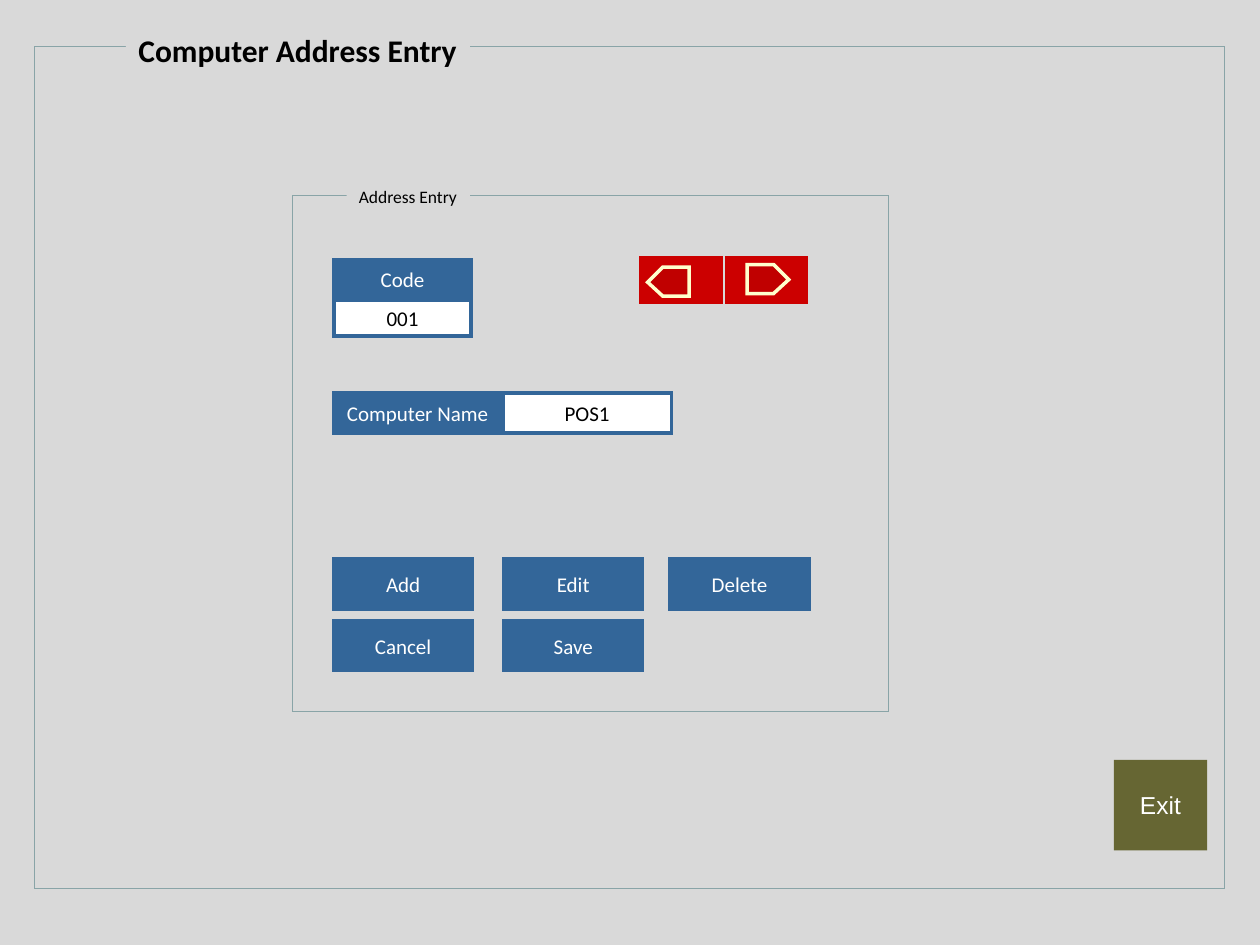
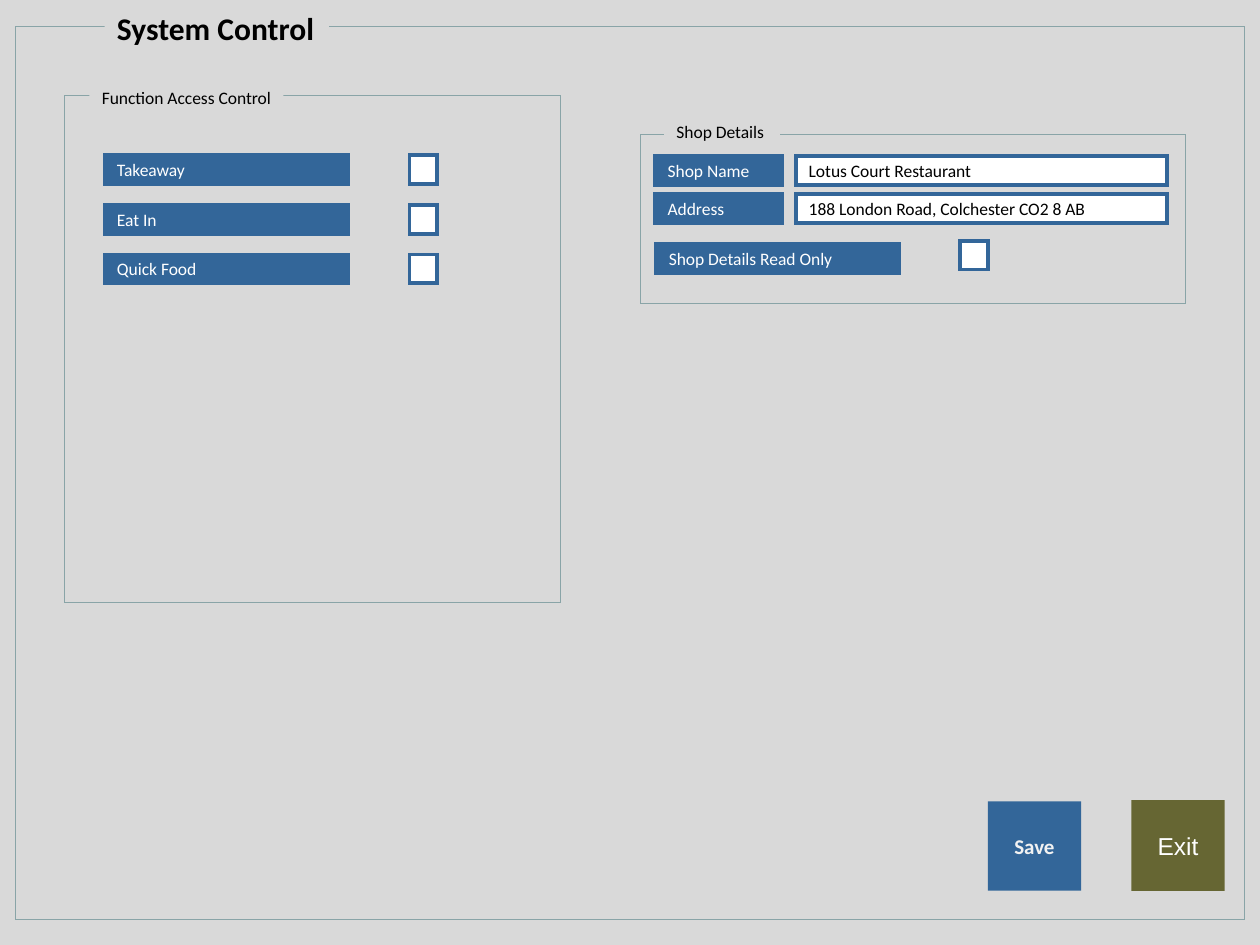
"""Build two point-of-sale settings screens: computer address entry and system control."""
from lxml.etree import SubElement
from pptx import Presentation
from pptx.dml.color import RGBColor
from pptx.enum.shapes import MSO_SHAPE as Shape
from pptx.enum.text import MSO_ANCHOR as Anchor, MSO_AUTO_SIZE as AutoSize, PP_ALIGN as Align
from pptx.oxml.ns import qn
from pptx.util import Inches, Pt

GREY, BLUE, WHITE, BLACK = "D9D9D9", "336699", "FFFFFF", "000000"
FRAME = {"line": "89A4A7", "line_width": 0.5}
TITLE = {"fill": GREY, "anchor": Anchor.TOP, "align": Align.LEFT, "auto_size": AutoSize.SHAPE_TO_FIT_TEXT,
         "font": {"size": Pt(18), "bold": True}}
CAPTION = TITLE | {"font": {"size": Pt(10)}}
BUTTON = {"fill": BLUE, "line": BLUE, "color": WHITE}
FIELD = {"fill": WHITE, "line": BLUE}
SMALL = {"align": Align.LEFT, "font": {"size": Pt(10)}}
EXIT = {"fill": "666633", "color": WHITE, "font": {"name": "Arial", "size": Pt(14)}}
SAVE = {"fill": BLUE, "color": "F2F2F2", "font": {"bold": True}}
RED_KEY = {"fill": "CC0000", "line": "CC0000"}
ARROW = {"fill": "C00000", "line": "FFFFCC", "line_width": 2}


def paint(shape, style):
    shape.shadow.inherit = False
    for part, key in ((shape.fill, "fill"), (shape.line.fill, "line")):
        if key in style:
            part.solid()
            part.fore_color.rgb = RGBColor.from_string(style[key])
        else:
            part.background()
    if "line" in style:
        shape.line.width = Pt(style.get("line_width", 2.25))
        SubElement(shape._element.spPr.find(qn("a:ln")), qn("a:miter"), lim="800000")


def add_box(slide, left, top, width, height, style, text=""):
    shape = slide.shapes.add_shape(Shape.RECTANGLE, Inches(left), Inches(top), Inches(width), Inches(height))
    paint(shape, style)
    if text:
        frame = shape.text_frame
        frame.text = text
        frame.word_wrap = False
        frame.auto_size = style.get("auto_size", AutoSize.NONE)
        frame.vertical_anchor = style.get("anchor", Anchor.MIDDLE)
        paragraph = frame.paragraphs[0]
        paragraph.alignment = style.get("align", Align.CENTER)
        font = paragraph.runs[0].font
        font.color.rgb = RGBColor.from_string(style.get("color", BLACK))
        font_values = {"name": "Calibri", "size": Pt(12), "bold": False} | style.get("font", {})
        for name, value in font_values.items():
            setattr(font, name, value)


presentation = Presentation()
presentation.slide_width, presentation.slide_height = Inches(10), Inches(7.5)

screens = [
    ("Computer Address Entry", (1, 0.2, 2.73, 0.4), (0.27, 0.37, 9.45, 6.68), (8.84, 6.03)),
    ("System Control", (0.83, 0.02, 1.78, 0.4), (0.12, 0.21, 9.76, 7.09), (8.98, 6.35)),
]
slides = []
for title, title_place, frame_place, exit_place in screens:
    slide = presentation.slides.add_slide(presentation.slide_layouts[6])
    slide.background.fill.solid()
    slide.background.fill.fore_color.rgb = RGBColor.from_string(GREY)
    add_box(slide, *frame_place, FRAME)
    add_box(slide, *title_place, TITLE, title)
    add_box(slide, *exit_place, 0.74, 0.72, EXIT, "Exit")
    slides.append(slide)
address_slide, control_slide = slides

groups = [
    (address_slide, "Address Entry", (2.32, 1.55, 4.73, 4.1), (2.75, 1.43, 0.98, 0.27)),
    (control_slide, "Function Access Control", (0.51, 0.76, 3.94, 4.02), (0.71, 0.64, 1.54, 0.27)),
    (control_slide, "Shop Details", (5.08, 1.07, 4.33, 1.34), (5.27, 0.91, 0.92, 0.27)),
]
for slide, caption, frame_place, caption_place in groups:
    add_box(slide, *frame_place, FRAME)
    add_box(slide, *caption_place, CAPTION, caption)

add_box(address_slide, 2.65, 2.38, 1.09, 0.29, FIELD, "001")
add_box(address_slide, 2.65, 2.06, 1.09, 0.31, BUTTON, "Code")
add_box(address_slide, 3.99, 3.12, 1.34, 0.32, FIELD, "POS1")
add_box(address_slide, 2.65, 3.12, 1.33, 0.32, BUTTON, "Computer Name")

for key_left, flat_side, top, direction in ((5.77, 5.93, 2.1, 1), (5.09, 5.47, 2.12, -1)):
    add_box(address_slide, key_left, 2.05, 0.63, 0.35, RED_KEY)
    shoulder, tip = flat_side + direction * 0.21, flat_side + direction * 0.33
    outline = [(flat_side, top), (shoulder, top), (tip, top + 0.12),
               (shoulder, top + 0.23), (flat_side, top + 0.23)]
    points = [(Inches(x), Inches(y)) for x, y in outline]
    builder = address_slide.shapes.build_freeform(*points[0])
    builder.add_line_segments(points[1:], close=True)
    paint(builder.convert_to_shape(), ARROW)

for top, labels in ((4.44, ("Add", "Edit", "Delete")), (4.93, ("Cancel", "Save"))):
    for left, label in zip((2.65, 4, 5.32), labels):
        add_box(address_slide, left, top, 1.1, 0.39, BUTTON, label)

options = [
    ("Takeaway", 0.83, 1.23, 3.25, 1.23),
    ("Eat In", 0.83, 1.63, 3.25, 1.63),
    ("Quick Food", 0.83, 2.02, 3.25, 2.02),
    ("Shop Details Read Only", 5.21, 1.94, 7.62, 1.91),
]
for label, left, top, check_left, check_top in options:
    add_box(control_slide, check_left, check_top, 0.22, 0.23, FIELD)
    add_box(control_slide, left, top, 1.93, 0.23, BUTTON | SMALL, label)

details = [
    ("Shop Name", "Lotus Court Restaurant", 1.24),
    ("Address", "188 London Road, Colchester CO2 8 AB", 1.54),
]
for label, value, top in details:
    add_box(control_slide, 5.2, top, 1.01, 0.23, BUTTON | SMALL, label)
    add_box(control_slide, 6.32, top, 2.94, 0.23, FIELD | SMALL, value)

add_box(control_slide, 7.84, 6.36, 0.74, 0.71, SAVE, "Save")

presentation.save("out.pptx")
